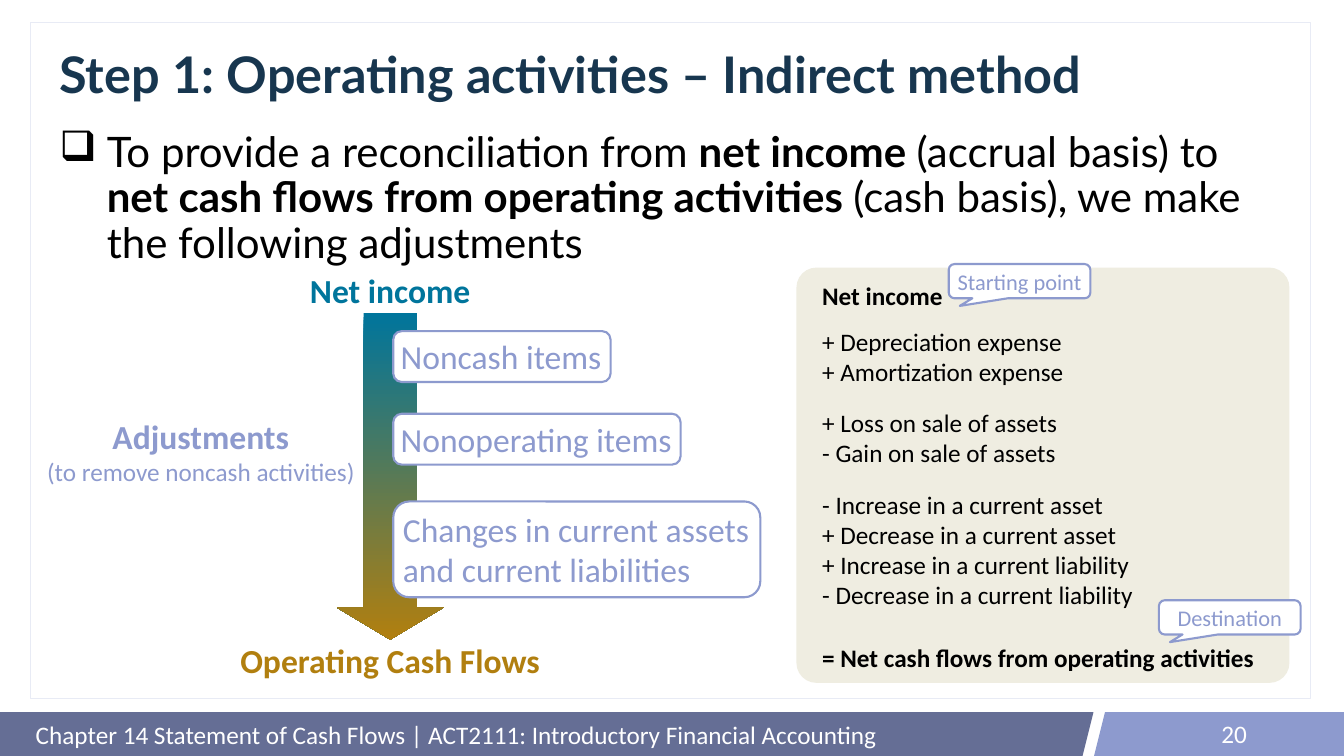
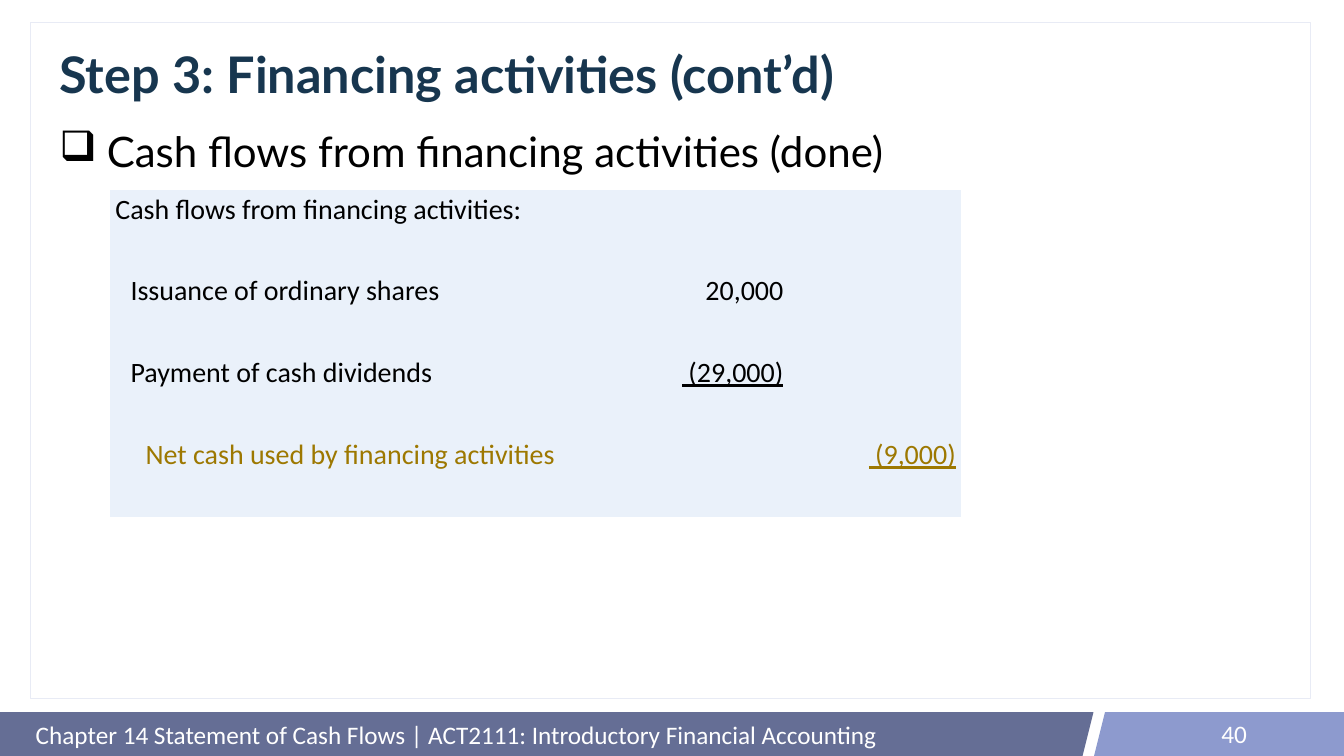
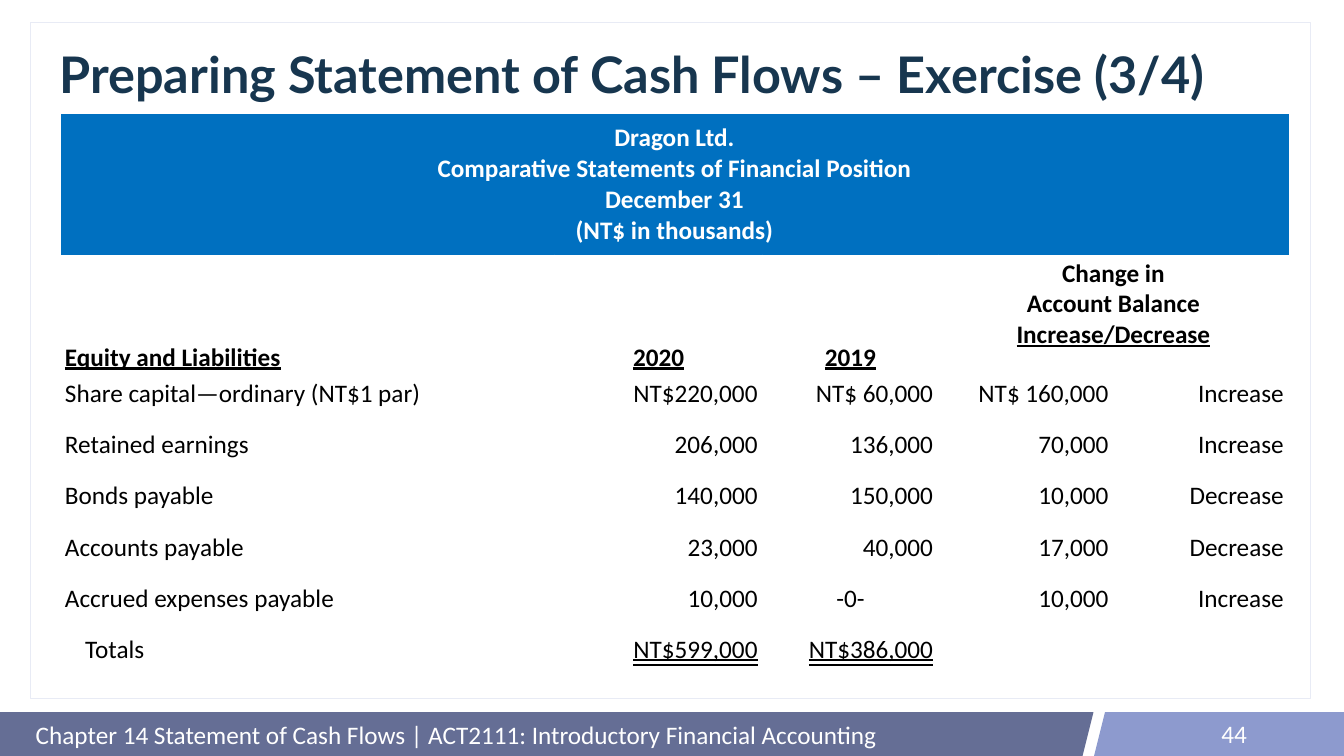
from dataclasses import dataclass, replace

from lxml.etree import SubElement
from pptx import Presentation
from pptx.dml.color import RGBColor
from pptx.enum.shapes import MSO_SHAPE
from pptx.enum.text import MSO_ANCHOR, MSO_AUTO_SIZE, MSO_UNDERLINE, PP_ALIGN
from pptx.oxml.ns import qn
from pptx.util import Inches, Pt

WIDE, HIGH = Inches(26.66), Inches(15)
COL, ROW = WIDE / 100, HIGH / 100
LEFT, MID, RIGHT = PP_ALIGN.LEFT, PP_ALIGN.CENTER, PP_ALIGN.RIGHT
PLAIN_GRID = "{2D5ABB26-0587-4C30-8999-92F81FD0307C}"


@dataclass(frozen=True)
class Ink:
    size: int
    color: str
    font: str = "Calibri"
    bold: bool = False
    under: object = False


@dataclass(frozen=True)
class Theme:
    white: str = "FFFFFF"
    slate: str = "656E95"
    lilac: str = "8D9ACE"
    mist: str = "E8EBF5"
    sand: str = "EFEDE1"
    teal: str = "00759C"
    gold: str = "B17F0F"
    pale: str = "EAF1FA"
    blue: str = "0070C0"
    title: Ink = Ink(72, "17364F", "Lato", True)
    body: Ink = Ink(60, "000000", "Lato")
    foot: Ink = Ink(36, "FFFFFF")
    note: Ink = Ink(36, "000000")
    tag: Ink = Ink(32, "8D9ACE")
    step: Ink = Ink(48, "8D9ACE")
    cash: Ink = Ink(40, "000000")
    total: Ink = Ink(40, "9D7801")


T = Theme()


@dataclass(frozen=True)
class Box:
    x: float
    y: float
    w: float
    h: float

    def at(self, x, y, w, h):
        return Box(self.x + x, self.y + y, w, h)

    def place(self):
        return (round(self.x * COL), round(self.y * ROW),
                round(self.w * COL), round(self.h * ROW))


PAGE = Box(0, 0, 100, 100)


def rgb(code):
    return RGBColor.from_string(code)


def bold(ink):
    return replace(ink, bold=True)


def lines(ink, *texts):
    return [[(text, ink)] for text in texts]


def write(frame, paras, align=LEFT, lead=None, inset=0):
    for i, runs in enumerate(paras):
        para = frame.paragraphs[0] if i == 0 else frame.add_paragraph()
        para.alignment = align
        if lead:
            para.line_spacing = lead
        if inset:
            para._p.get_or_add_pPr().set("marL", str(Inches(inset)))
        for text, ink in runs:
            run = para.add_run()
            run.text = text
            font = run.font
            font.size, font.name = Pt(ink.size), ink.font
            font.bold, font.underline = ink.bold, ink.under
            font.color.rgb = rgb(ink.color)


def label(slide, box, paras, align=LEFT, anchor=MSO_ANCHOR.TOP, wrap=True, lead=None):
    frame = slide.shapes.add_textbox(*box.place()).text_frame
    frame.word_wrap = wrap
    frame.vertical_anchor = anchor
    write(frame, paras, align, lead)
    return frame


def shape(shapes, kind, box, fill, line=None, width=3):
    item = shapes.add_shape(kind, *box.place())
    item.shadow.inherit = False
    item.fill.solid()
    item.fill.fore_color.rgb = rgb(fill)
    if line:
        item.line.color.rgb = rgb(line)
        item.line.width = Pt(width)
    else:
        item.line.fill.background()
    return item


def footer(slide, box, page):
    band = slide.shapes.add_group_shape().shapes
    for kind, x, w, fill in (
        (MSO_SHAPE.RECTANGLE, 0, 74.83, T.slate),
        (MSO_SHAPE.PARALLELOGRAM, 65.23, 16.13, T.slate),
        (MSO_SHAPE.PARALLELOGRAM, 81.4, 16.13, T.lilac),
        (MSO_SHAPE.RECTANGLE, 83.91, 16.09, T.lilac),
    ):
        shape(band, kind, box.at(x, 0, w, box.h), fill)
    text = "Chapter 14 Statement of Cash Flows | ACT2111: Introductory Financial Accounting"
    label(slide, box.at(2.29, 0.13, 77.27, 5.67), lines(T.foot, text),
          anchor=MSO_ANCHOR.MIDDLE)
    label(slide, box.at(70.63, 0.13, 22.51, 5.33), lines(T.foot, str(page)),
          RIGHT, MSO_ANCHOR.MIDDLE)


def base(deck, title, page):
    slide = deck.slides.add_slide(deck.slide_layouts[6])
    footer(slide, PAGE.at(0, 94.2, 100, 5.8), page)
    pane = shape(slide.shapes, MSO_SHAPE.RECTANGLE,
                 PAGE.at(2.29, 2.93, 95.24, 89.4), T.white, T.mist, 1)
    tint = pane._element.spPr.find(qn("a:solidFill"))[0]
    SubElement(tint, qn("a:alpha")).set("val", "85000")
    label(slide, PAGE.at(4.05, 5.33, 91.49, 9.67), lines(T.title, title),
          anchor=MSO_ANCHOR.MIDDLE, lead=0.9)
    return slide


def bullet(slide, runs):
    frame = label(slide, PAGE.at(4.05, 17, 91.49, 73.13), [runs], lead=0.9)
    props = frame.paragraphs[0]._p.get_or_add_pPr()
    props.set("marL", str(Inches(0.94)))
    props.set("indent", str(-Inches(0.94)))
    SubElement(props, qn("a:buChar")).set("char", "❑")


def flow(slide, box):
    label(slide, box.at(19.62, 0, 12.83, 6.07),
          lines(replace(T.step, color=T.teal, bold=True), "Net income"), MID, wrap=False)
    label(slide, box.at(14.25, 48.87, 23.56, 6.07),
          lines(replace(T.step, color=T.gold, bold=True), "Operating Cash Flows"), MID)
    arrow = shape(slide.shapes, MSO_SHAPE.DOWN_ARROW, box.at(22.06, 6, 7.95, 43.2), T.teal)
    arrow.adjustments[0], arrow.adjustments[1] = 0.5, 0.3
    arrow.fill.gradient()
    arrow.fill.gradient_angle = 270
    for stop, spot, color in zip(arrow.fill.gradient_stops, (0, 1), (T.teal, T.gold)):
        stop.position = spot
        stop.color.rgb = rgb(color)
    for y, w, h, texts in (
        (8.4, 16.17, 6.73, ["Noncash items"]),
        (19.33, 21.38, 6.73, ["Nonoperating items"]),
        (30.93, 27.31, 12.67, ["Changes in current assets", "and current liabilities"]),
    ):
        pill = shape(slide.shapes, MSO_SHAPE.ROUNDED_RECTANGLE,
                     box.at(26.26, y, w, h), T.white, T.lilac)
        frame = pill.text_frame
        frame.word_wrap = False
        frame.auto_size = MSO_AUTO_SIZE.SHAPE_TO_FIT_TEXT
        frame.vertical_anchor = MSO_ANCHOR.TOP
        write(frame, lines(T.step, *texts))
    label(slide, box.at(0, 19.33, 23.89, 10.07),
          lines(bold(T.step), "Adjustments")
          + lines(replace(T.step, size=36), "(to remove noncash activities)"),
          MID, wrap=False)


def card(slide, box):
    back = shape(slide.shapes, MSO_SHAPE.ROUNDED_RECTANGLE, box, T.sand)
    back.adjustments[0] = 0.048
    strong = bold(T.note)
    for y, w, h, ink, wrap, texts in (
        (1.33, 9.83, 4.73, strong, False, ["Net income"]),
        (7.4, 19.43, 8.73, T.note, True,
         ["+ Depreciation expense", "+ Amortization expense"]),
        (18.13, 19.43, 8.73, T.note, True,
         ["+ Loss on sale of assets", "- Gain on sale of assets"]),
        (28.93, 23.86, 16.8, T.note, True,
         ["- Increase in a current asset", "+ Decrease in a current asset",
          "+ Increase in a current liability", "- Decrease in a current liability"]),
        (49.2, 33.27, 4.73, strong, False, ["= Net cash flows from operating activities"]),
    ):
        label(slide, box.at(1.54, y, w, h), lines(ink, *texts), wrap=wrap)
    for x, y, text in ((11.33, -0.47, "Starting point"), (26.97, 44, "Destination")):
        tag = shape(slide.shapes, MSO_SHAPE.ROUNDED_RECTANGULAR_CALLOUT,
                    box.at(x, y, 10.54, 4.53), T.white, T.lilac)
        for i, value in enumerate((-0.422, 0.723, 0.167)):
            tag.adjustments[i] = value
        tag.text_frame.vertical_anchor = MSO_ANCHOR.MIDDLE
        write(tag.text_frame, lines(T.tag, text), MID)


def grid(slide, box, cols, rows):
    table = slide.shapes.add_table(len(rows), len(cols), *box.place()).table
    table.first_row = table.horz_banding = False
    table._tbl.tblPr.find(qn("a:tableStyleId")).text = PLAIN_GRID
    for col, w in zip(table.columns, cols):
        col.width = round(w * COL)
    for row, h in zip(table.rows, rows):
        row.height = round(h * ROW)
    return table


def paint(cell, fill):
    cell.fill.solid()
    cell.fill.fore_color.rgb = rgb(fill)


def edge(cell, base_width):
    props = cell._tc.get_or_add_tcPr()
    for side in "LRTB":
        width = base_width if side == "B" else 1
        line = SubElement(props, qn("a:ln" + side))
        line.set("w", str(Pt(width)))
        fill = SubElement(line, qn("a:solidFill"))
        SubElement(fill, qn("a:srgbClr")).set("val", T.white)


def funds(slide, box):
    table = grid(slide, box, (39.98, 10.47, 12.83), [box.h / 4] * 4)
    for cell in table.iter_cells():
        paint(cell, T.pale)
    under = replace(T.cash, under=True)
    for r, c, text, ink, inset in (
        (0, 0, "Cash flows from financing activities:", T.cash, 0),
        (1, 0, "Issuance of ordinary shares", T.cash, 0.3),
        (1, 1, "20,000", T.cash, 0),
        (2, 0, "Payment of cash dividends", T.cash, 0.3),
        (2, 1, " (29,000)", under, 0),
        (3, 0, "Net cash used by financing activities", T.total, 0.6),
        (3, 2, " (9,000)", replace(T.total, under=True), 0),
    ):
        write(table.cell(r, c).text_frame, lines(ink, text), RIGHT if c else LEFT, inset=inset)


def sheet(slide, box):
    table = grid(slide, box, [36.8, 15.49] + [13.05] * 3, [18.8, 15.87] + [6.8] * 6)
    for i, cell in enumerate(table.iter_cells()):
        head = i < len(table.columns)
        edge(cell, 3 if head else 1)
        paint(cell, T.blue if head else T.white)
    top = table.cell(0, 0)
    top.merge(table.cell(0, 4))
    top.vertical_anchor = MSO_ANCHOR.MIDDLE
    write(top.text_frame,
          lines(bold(T.foot), "Dragon Ltd.", "Comparative Statements of Financial Position",
                "December 31", "(NT$ in thousands)"), MID)
    strong = bold(T.note)
    under = replace(strong, under=True)
    for c, text in enumerate(("Equity and Liabilities", "2020", "2019")):
        cell = table.cell(1, c)
        cell.vertical_anchor = MSO_ANCHOR.BOTTOM
        write(cell.text_frame, lines(under, text), MID if c else LEFT)
    change = table.cell(1, 3)
    change.merge(table.cell(1, 4))
    write(change.text_frame,
          lines(strong, "Change in", "Account Balance") + lines(under, "Increase/Decrease"), MID)
    data = (
        ("Share capital—ordinary (NT$1 par)", "NT$220,000", "NT$ 60,000", "NT$ 160,000", "Increase"),
        ("Retained earnings", "206,000", "136,000", "70,000", "Increase"),
        ("Bonds payable", "140,000", "150,000", "10,000", "Decrease"),
        ("Accounts payable", "23,000", "40,000", "17,000", "Decrease"),
        ("Accrued expenses payable", "10,000", "-0-", "10,000", "Increase"),
        ("Totals", "NT$599,000", "NT$386,000"),
    )
    double = replace(T.note, under=MSO_UNDERLINE.DOUBLE_LINE)
    for r, row in enumerate(data, 2):
        total = row[0] == "Totals"
        for c, text in enumerate(row):
            align = LEFT if c == 0 else MID if text == "-0-" else RIGHT
            write(table.cell(r, c).text_frame, lines(double if total and c else T.note, text),
                  align, inset=0.4 if total and c == 0 else 0)


def main():
    deck = Presentation()
    deck.slide_width, deck.slide_height = WIDE, HIGH

    slide = base(deck, "Step 1: Operating activities – Indirect method", 20)
    strong = bold(T.body)
    bullet(slide, [
        ("To provide a reconciliation from ", T.body),
        ("net income ", strong),
        ("(accrual basis) to ", T.body),
        ("net cash flows from operating activities ", strong),
        ("(cash basis), we make the following adjustments", T.body),
    ])
    card(slide, PAGE.at(59.26, 35.4, 36.68, 54.93))
    flow(slide, PAGE.at(3, 35.4, 53.56, 54.93))

    slide = base(deck, "Step 3: Financing activities (cont’d)", 40)
    bullet(slide, [("Cash flows from financing activities (done)", T.body)])
    funds(slide, PAGE.at(8.21, 25.13, 63.28, 43.27))

    slide = base(deck, "Preparing Statement of Cash Flows – Exercise (3/4)", 44)
    sheet(slide, PAGE.at(4.46, 15, 91.48, 75.4))

    deck.save("out.pptx")


if __name__ == "__main__":
    main()
